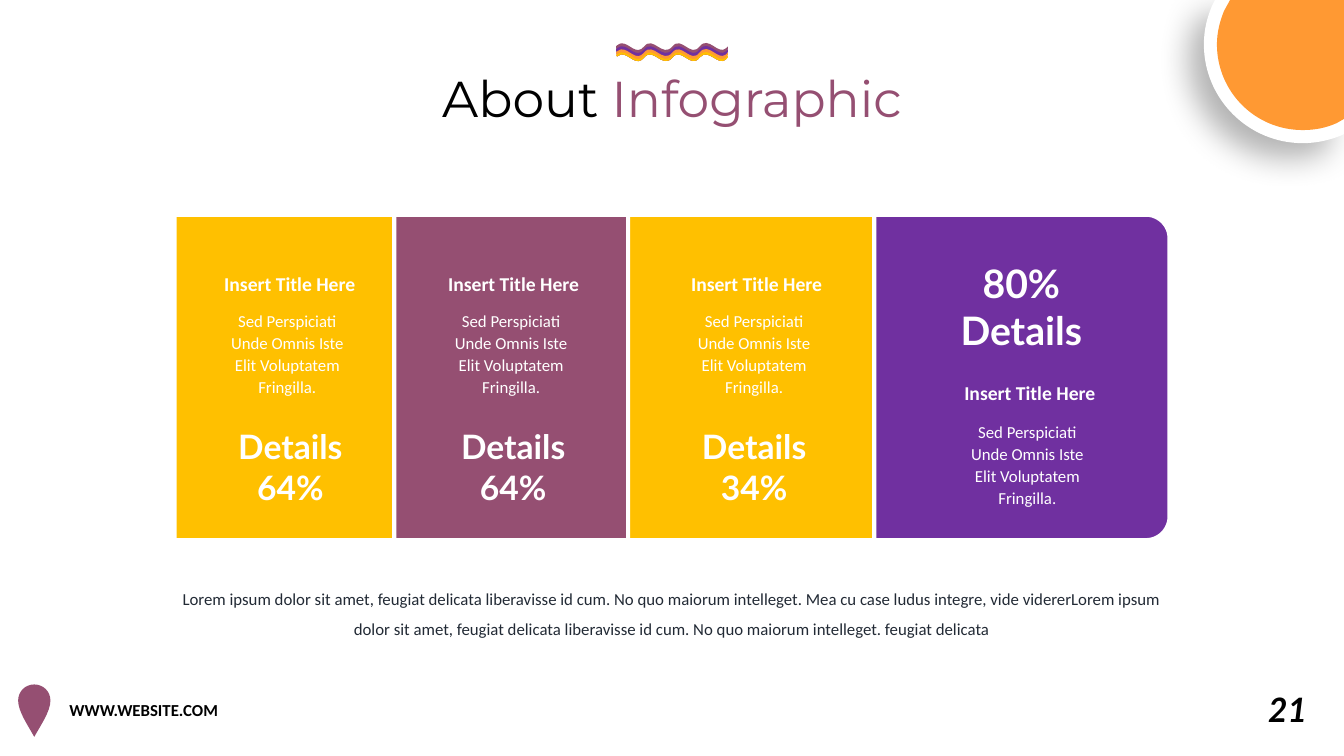
from lxml.etree import SubElement
from pptx import Presentation
from pptx.dml.color import RGBColor
from pptx.enum.shapes import MSO_SHAPE
from pptx.enum.text import MSO_ANCHOR, MSO_AUTO_SIZE, PP_ALIGN
from pptx.oxml.ns import qn
from pptx.util import Inches, Pt

COLORS = {
    "black": "000000", "white": "FFFFFF", "ink": "222A35", "plum": "954F72",
    "purple": "7030A0", "orange": "FF9933", "yellow": "FFC000",
}
PIN = [
    (0.34, 6.79), (0.43, 6.79, 0.5, 6.86, 0.5, 6.95), (0.5, 7.06, 0.4, 7.2, 0.34, 7.31),
    (0.28, 7.2, 0.18, 7.06, 0.18, 6.95), (0.18, 6.86, 0.25, 6.79, 0.34, 6.79),
]
DISC_RIM = [
    (12.05, 0), (13.33, 0), (13.33, 1.33), (13.31, 1.34),
    (13.19, 1.39, 13.06, 1.42, 12.92, 1.42), (12.38, 1.42, 11.94, 0.98, 11.94, 0.44),
    (11.94, 0.3, 11.97, 0.18, 12.02, 0.06),
]
DISC = [
    (12.2, 0), (13.33, 0), (13.33, 1.18), (13.26, 1.22),
    (13.15, 1.27, 13.04, 1.29, 12.92, 1.29), (12.45, 1.29, 12.07, 0.91, 12.07, 0.44),
    (12.07, 0.32, 12.1, 0.21, 12.14, 0.11),
]


def wave_band(level):
    """Outline of a band whose wavy top runs at the level, above a fixed wavy bottom."""
    return [
        (6.16, level - 0.03),
        (6.24, level - 0.04, 6.31, level + 0.1, 6.39, level),
        (6.48, level - 0.11, 6.57, level + 0.12, 6.67, level),
        (6.76, level - 0.11, 6.85, level + 0.12, 6.94, level),
        (7.03, level - 0.11, 7.12, level + 0.09, 7.2, level + 0.02),
        (7.22, level), (7.22, level + 0.02), (7.2, 0.59),
        (7.12, 0.66, 7.03, 0.47, 6.94, 0.57), (6.85, 0.69, 6.76, 0.46, 6.67, 0.57),
        (6.57, 0.69, 6.48, 0.46, 6.39, 0.57), (6.31, 0.67, 6.24, 0.53, 6.16, 0.54),
        (6.12, 0.56), (6.11, level), (6.12, level - 0.01),
        (6.14, level - 0.02, 6.15, level - 0.03, 6.16, level - 0.03),
    ]


class InfographicSlide:
    def __init__(self, slide):
        self.slide = slide
        self.shapes = slide.shapes

    def rgb(self, color):
        return RGBColor.from_string(COLORS[color])

    def paint(self, shape, color, outline=None):
        shape.shadow.inherit = False
        shape.fill.solid()
        shape.fill.fore_color.rgb = self.rgb(color)
        if outline:
            shape.line.color.rgb = self.rgb(outline)
            shape.line.width = Pt(3)
        else:
            shape.line.fill.background()

    def outline(self, box, segments, color):
        """Draw a closed outline in a box; a pair is a line's end, six numbers a curve."""
        left, top, width, height = map(Inches, box)
        builder = self.shapes.build_freeform(left, top)
        builder.add_line_segments([(left + width, top + height)])
        shape = builder.convert_to_shape()
        path = next(shape._element.iter(qn("a:path")))
        for step in list(path):
            path.remove(step)
        for index, numbers in enumerate(segments):
            kind = "moveTo" if index == 0 else "lnTo" if len(numbers) == 2 else "cubicBezTo"
            step = SubElement(path, qn("a:" + kind))
            for x, y in zip(numbers[::2], numbers[1::2]):
                SubElement(step, qn("a:pt"), x=str(Inches(x) - left), y=str(Inches(y) - top))
        SubElement(path, qn("a:close"))
        self.paint(shape, color)
        return shape

    def soft_shadow(self, shape):
        effects = shape._element.spPr.find(qn("a:effectLst"))
        shadow = SubElement(effects, qn("a:outerShdw"), blurRad=str(Pt(23)),
                            dist=str(Pt(15)), dir=str(135 * 60000), algn="tr",
                            rotWithShape="0")
        black = SubElement(shadow, qn("a:srgbClr"), val=COLORS["black"])
        SubElement(black, qn("a:alpha"), val="29000")

    def tile(self, left, top, width, height, color):
        """Tile with its right corners rounded, which is a quarter-turned preset."""
        shape = self.shapes.add_shape(
            MSO_SHAPE.ROUND_2_SAME_RECTANGLE,
            Inches(left + (width - height) / 2), Inches(top + (height - width) / 2),
            Inches(height), Inches(width))
        shape.rotation = 90
        shape.adjustments[0] = 0.08
        self.paint(shape, color, outline="white")

    def title(self, box, parts, size):
        heading = self.shapes.title
        heading.left, heading.top, heading.width, heading.height = map(Inches, box)
        frame = heading.text_frame
        frame.word_wrap = False
        frame.auto_size = MSO_AUTO_SIZE.SHAPE_TO_FIT_TEXT
        frame.vertical_anchor = MSO_ANCHOR.TOP
        paragraph = frame.paragraphs[0]
        paragraph.alignment = PP_ALIGN.CENTER
        paragraph.font.name = "Montserrat"
        paragraph.font.size = Pt(size)
        for words, color in parts:
            run = paragraph.add_run()
            run.text = words
            run.font.color.rgb = self.rgb(color)

    def text(self, box, lines, size, color="white", font="Calibri", bold=False,
             italic=False, align=PP_ALIGN.CENTER, spacing=None, wrap=True):
        frame = self.shapes.add_textbox(*map(Inches, box)).text_frame
        frame.word_wrap = wrap
        frame.auto_size = MSO_AUTO_SIZE.SHAPE_TO_FIT_TEXT
        frame.text = "\n".join(lines)
        for paragraph in frame.paragraphs:
            paragraph.alignment = align
            if spacing:
                paragraph.line_spacing = spacing
            paragraph.font.name = font
            paragraph.font.size = Pt(size)
            paragraph.font.bold = bold
            paragraph.font.italic = italic
            paragraph.font.color.rgb = self.rgb(color)


def main():
    deck = Presentation()
    deck.slide_width, deck.slide_height = Inches(13.33), Inches(7.5)
    page = InfographicSlide(deck.slides.add_slide(deck.slide_layouts[5]))

    page.text((12.48, 6.79, 0.59, 0.5), ["21"], 24, "black", "Lato", bold=True,
              italic=True, align=PP_ALIGN.LEFT, wrap=False)
    page.outline((0.18, 6.79, 0.32, 0.52), PIN, "plum")
    page.text((0.59, 6.89, 2.53, 0.3), ["WWW.WEBSITE.COM"], 12, "black", bold=True,
              align=PP_ALIGN.LEFT)

    page.soft_shadow(page.outline((11.94, 0, 1.39, 1.42), DISC_RIM, "white"))
    page.outline((12.07, 0, 1.26, 1.29), DISC, "orange")

    page.title((4.1, 0.62, 5.13, 0.71),
               [("About ", "black"), ("Infographic", "plum")], 36)
    for layer, color in enumerate(("plum", "purple", "orange", "yellow")):
        level = 0.46 + 0.03 * layer
        page.outline((6.11, level - 0.03, 1.11, 0.64 - level), wave_band(level), color)

    # tile left, width, color; label left, top; body top; details left, top, height, size
    columns = [
        (1.73, 3.71, "yellow", 2.12, 2.65, 3.01, 2.01, 4.18, 0.91, 24, ["Details", "64%"]),
        (3.91, 3.68, "plum", 4.34, 2.65, 3.01, 4.22, 4.18, 0.91, 24, ["Details", "64%"]),
        (6.23, 3.68, "yellow", 6.75, 2.65, 3.01, 6.61, 4.18, 0.91, 24, ["Details", "34%"]),
        (8.67, 2.93, "purple", 9.46, 3.73, 4.11, 9.26, 2.52, 1.04, 28, ["80%", "Details"]),
    ]
    for (left, width, color, label_left, label_top, body_top,
         details_left, details_top, details_height, size, details) in columns:
        page.tile(left, 2.13, width, 3.23, color)
        page.text((label_left, label_top, 1.51, 0.34), ["Insert Title Here"], 14,
                  bold=True, wrap=False)
        page.text((label_left, body_top, 1.46, 0.98),
                  ["Sed Perspiciati Unde Omnis Iste Elit Voluptatem Fringilla."],
                  12, spacing=1.1)
        page.text((details_left, details_top, 1.74, details_height), details, size,
                  font="Lato", bold=True)

    page.text((1.62, 5.69, 10.09, 0.68), [
        "Lorem ipsum dolor sit amet, feugiat delicata liberavisse id cum. No quo maiorum "
        "intelleget. Mea cu case ludus integre, vide vidererLorem ipsum dolor sit amet, "
        "feugiat delicata liberavisse id cum. No quo maiorum intelleget. feugiat delicata",
    ], 12, "ink", spacing=1.5)

    deck.save("out.pptx")


if __name__ == "__main__":
    main()
